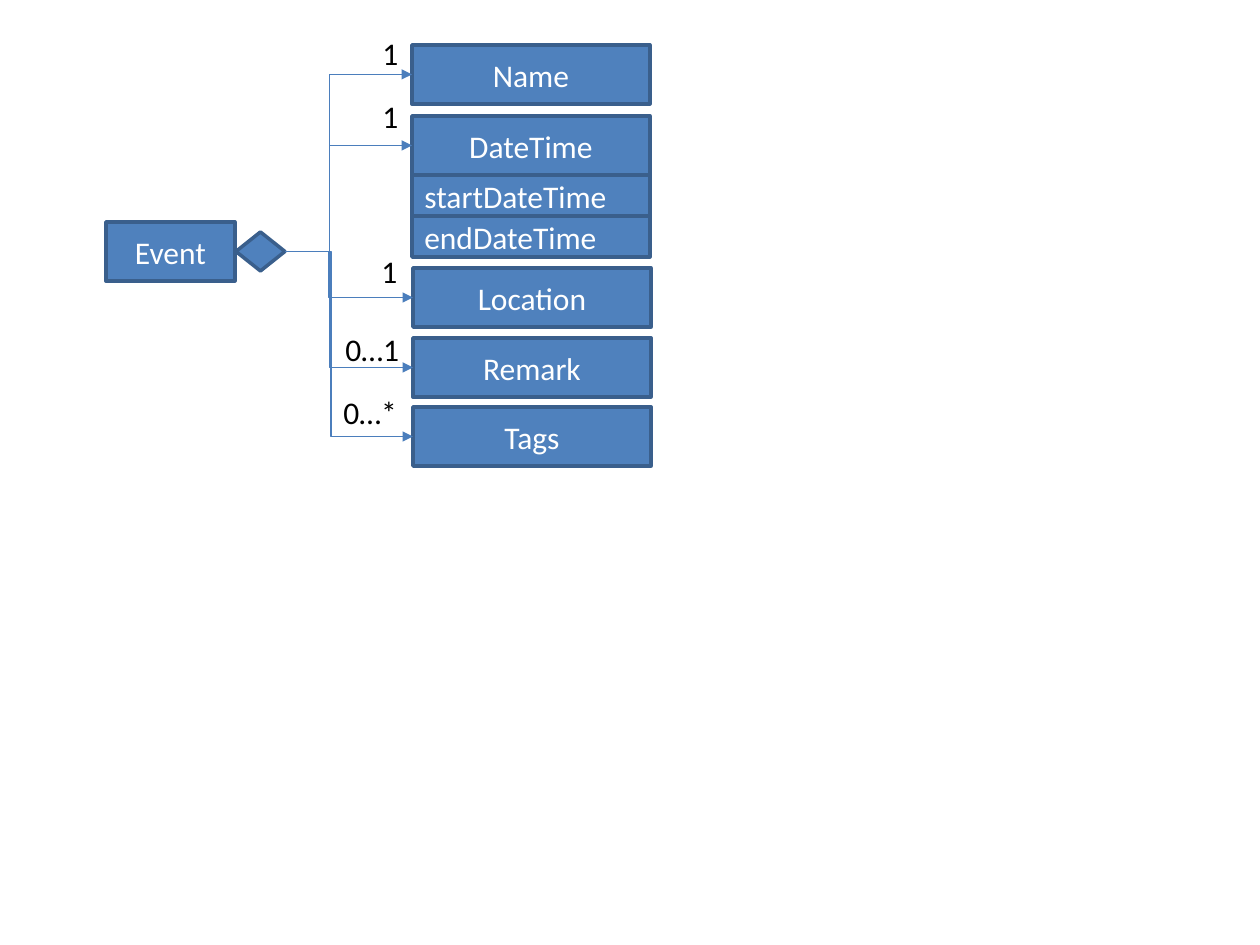
from pptx import Presentation
from pptx.dml.color import RGBColor as RGB
from pptx.enum.shapes import MSO_CONNECTOR as LINK, MSO_SHAPE as SHAPE
from pptx.enum.text import MSO_ANCHOR as ANCHOR, MSO_AUTO_SIZE as FIT, PP_ALIGN as ALIGN
from pptx.oxml.ns import qn
from pptx.util import Pt
from lxml.etree import SubElement as Sub

BLUE = RGB(0x4F, 0x81, 0xBD)
EDGE = RGB(0x3A, 0x5F, 0x8C)
WIRE = RGB(0x4B, 0x7E, 0xBC)
WHITE = RGB(0xFF, 0xFF, 0xFF)
BLACK = RGB(0x00, 0x00, 0x00)
SCALE = 914400 / 126


def px(*nums):
    return [round(n * SCALE) for n in nums]


class Page:
    font = "Calibri"
    size = Pt(18)

    def __init__(self, slide):
        self.slide = slide
        self.shapes = slide.shapes

    def style(self, frame, text, color, align):
        frame.text = text
        para = frame.paragraphs[0]
        para.alignment = align
        for run in para.runs:
            run.font.name = self.font
            run.font.size = self.size
            run.font.color.rgb = color

    def box(self, x, y, w, h, text="", align=ALIGN.CENTER, kind=SHAPE.RECTANGLE):
        shape = self.shapes.add_shape(kind, *px(x, y, w, h))
        shape.shadow.inherit = False
        shape.fill.solid()
        shape.fill.fore_color.rgb = BLUE
        shape.line.color.rgb = EDGE
        shape.line.width = Pt(2)
        if text:
            shape.text_frame.vertical_anchor = ANCHOR.MIDDLE
            self.style(shape.text_frame, text, WHITE, align)
        return shape

    def label(self, x, y, w, text):
        frame = self.shapes.add_textbox(*px(x, y, w, 50)).text_frame
        frame.word_wrap = False
        frame.auto_size = FIT.SHAPE_TO_FIT_TEXT
        self.style(frame, text, BLACK, ALIGN.LEFT)

    def link(self, start, end, bend):
        """Elbow arrow from the right of start to the left of end."""
        wire = self.shapes.add_connector(LINK.ELBOW, 0, 0, 0, 0)
        wire.begin_connect(start, 3)
        wire.end_connect(end, 1)
        wire.line.color.rgb = WIRE
        wire.line.width = Pt(0.75)
        props = wire._element.spPr
        Sub(props.find(qn("a:ln")), qn("a:tailEnd"), type="triangle")
        Sub(props, qn("a:effectLst"))
        Sub(props.find(".//" + qn("a:avLst")), qn("a:gd"),
            name="adj1", fmla=f"val {bend * 1000}")


def main():
    deck = Presentation()
    deck.slide_width, deck.slide_height = px(1260, 945)
    page = Page(deck.slides.add_slide(deck.slide_layouts[6]))

    # Owner and its composition diamond
    page.box(106, 222, 129, 59, "Event")
    gem = page.box(236, 232, 49, 39, kind=SHAPE.FLOWCHART_DECISION)

    # Parts: name, left, top, bend in percent, count, its left, top and width
    parts = [
        ("Name", 412, 45, 35, "1", 370, 28, 42),
        ("DateTime", 412, 116, 35, "1", 370, 91, 42),
        ("Location", 413, 268, 34, "1", 369, 246, 42),
        ("Remark", 413, 338, 35, "0…1", 333, 324, 79),
        ("Tags", 413, 407, 36, "0…*", 331, 387, 79),
    ]
    for name, x, y, bend, count, left, top, wide in parts:
        part = page.box(x, y, 238, 59, name)
        page.link(gem, part, bend)
        page.label(left, top, wide, count)

    # Fields of DateTime
    for i, name in enumerate(["startDateTime", "endDateTime"]):
        page.box(412, 175 + 41 * i, 238, 41, name, ALIGN.LEFT)

    deck.save("out.pptx")


if __name__ == "__main__":
    main()
